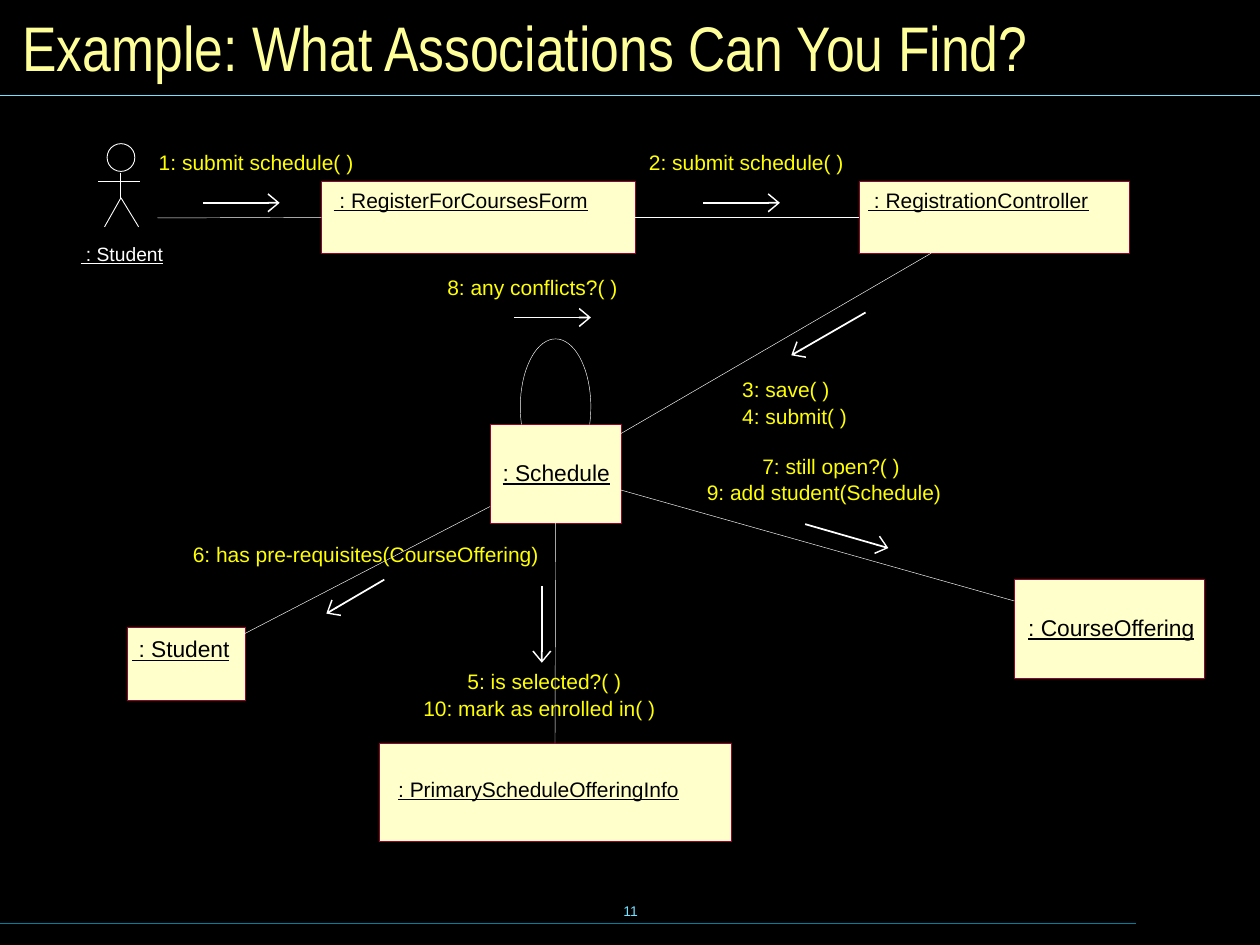
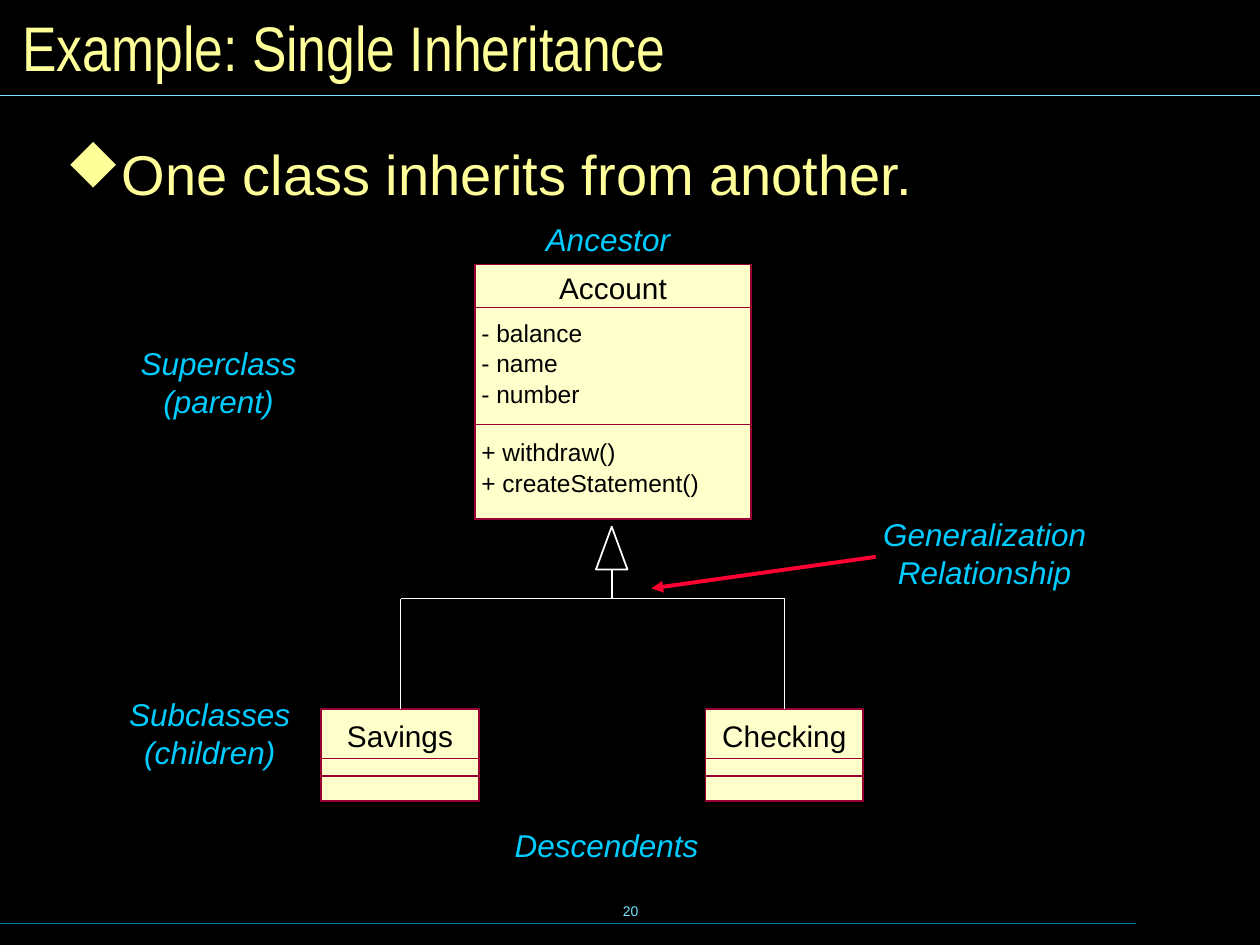
from dataclasses import dataclass
from math import cos, pi, sin

from lxml.etree import SubElement
from pptx import Presentation
from pptx.dml.color import RGBColor
from pptx.enum.shapes import MSO_CONNECTOR, MSO_SHAPE
from pptx.enum.text import MSO_ANCHOR, PP_ALIGN
from pptx.oxml.ns import qn
from pptx.util import Inches, Pt


@dataclass(frozen=True)
class Theme:
    font: str = "Arial"
    title_font: str = "Arial Narrow"
    bullet_font: str = "Wingdings"
    background: str = "000000"
    title: str = "FFFF99"
    rule: str = "73E1FF"
    footer_rule: str = "007E9F"
    box_fill: str = "FFFFCC"
    box_line: str = "990033"
    box_text: str = "000000"
    line: str = "FFFFFF"
    message: str = "FFFF00"
    label: str = "00CCFF"
    pointer: str = "FF0033"
    hairline: float = 0.25
    title_size: int = 36
    body_size: int = 32
    label_size: int = 18
    class_size: int = 17
    member_size: int = 14
    object_size: int = 13
    message_size: int = 12
    actor_size: int = 11
    number_size: int = 8


THEME = Theme()
BODY_MARGINS = (0.12, 0.06, 0.12, 0.06)
TITLE_MARGINS = (0.1, 0.05, 0.1, 0.05)


@dataclass
class Area:
    """A box on a slide; everything drawn in it is measured from its corner."""
    slide: object
    left: float = 0
    top: float = 0

    def inside(self, left, top):
        return Area(self.slide, self.left + left, self.top + top)

    def point(self, x, y):
        return Inches(self.left + x), Inches(self.top + y)

    def shape(self, kind, box, fill=None, line=THEME.line, width=1):
        left, top, wide, high = box
        shape = self.slide.shapes.add_shape(
            kind, *self.point(left, top), Inches(wide), Inches(high))
        return style_shape(shape, fill, line, width)

    def text(self, box, lines, size, color, **options):
        left, top, wide, high = box
        shape = self.slide.shapes.add_textbox(
            *self.point(left, top), Inches(wide), Inches(high))
        return set_text(shape.text_frame, lines, size, color, **options)

    def line(self, start, end, color=THEME.line, width=THEME.hairline,
             head=None, head_width="med"):
        connector = self.slide.shapes.add_connector(
            MSO_CONNECTOR.STRAIGHT, *self.point(*start), *self.point(*end))
        connector.line.color.rgb = RGBColor.from_string(color)
        connector.line.width = Pt(width)
        if head:
            SubElement(connector.line._get_or_add_ln(), qn("a:tailEnd"),
                       type=head, w=head_width)
        SubElement(connector._element.spPr, qn("a:effectLst"))
        return connector


def style_shape(shape, fill, line, width):
    shape.shadow.inherit = False
    if fill:
        shape.fill.solid()
        shape.fill.fore_color.rgb = RGBColor.from_string(fill)
    else:
        shape.fill.background()
    shape.line.color.rgb = RGBColor.from_string(line)
    shape.line.width = Pt(width)
    return shape


def set_text(frame, lines, size, color, font=THEME.font, align=PP_ALIGN.LEFT,
             anchor=MSO_ANCHOR.TOP, margins=(0, 0, 0, 0),
             italic=False, underline=False, gap=0):
    frame.word_wrap = True
    frame.vertical_anchor = anchor
    (frame.margin_left, frame.margin_top,
     frame.margin_right, frame.margin_bottom) = map(Inches, margins)
    for index, line in enumerate(lines):
        paragraph = frame.add_paragraph() if index else frame.paragraphs[0]
        paragraph.text = line
        paragraph.alignment = align
        paragraph.space_after = Pt(gap)
        paragraph.font.name = font
        paragraph.font.size = Pt(size)
        paragraph.font.color.rgb = RGBColor.from_string(color)
        paragraph.font.italic = italic
        paragraph.font.underline = underline
    return frame


def add_framed_slide(presentation, title, number):
    """Blank slide with background, title, rules and page number."""
    slide = presentation.slides.add_slide(presentation.slide_layouts[6])
    slide.background.fill.solid()
    slide.background.fill.fore_color.rgb = RGBColor.from_string(THEME.background)
    page = Area(slide)
    page.text((3.42, 6.98, 3.17, 0.5), [number], THEME.number_size, THEME.rule,
              align=PP_ALIGN.CENTER, anchor=MSO_ANCHOR.MIDDLE, margins=TITLE_MARGINS)
    page.line((0, 7.33), (9.02, 7.33), THEME.footer_rule, 0.75)
    page.line((0, 0.76), (10, 0.76), THEME.rule, 0.75)
    page.text((0.08, 0.08, 9.84, 0.58), [title], THEME.title_size, THEME.title,
              font=THEME.title_font, anchor=MSO_ANCHOR.MIDDLE, margins=TITLE_MARGINS)
    return page


# Collaboration diagram: objects as (box, text offset, size, name)
OBJECTS = {
    "offering": ((8.05, 3.6, 1.51, 0.78), (0.11, 0.27), THEME.object_size, ": CourseOffering"),
    "controller": ((6.82, 0.44, 2.14, 0.57), (0.07, 0.05), THEME.message_size,
                   " : RegistrationController"),
    "schedule": ((3.89, 2.37, 1.04, 0.78), (0.1, 0.27), THEME.object_size, ": Schedule"),
    "student": ((1.01, 3.98, 0.94, 0.58), (0.04, 0.06), THEME.object_size, " : Student"),
    "primary": ((3.01, 4.9, 2.79, 0.78), (0.15, 0.26), THEME.message_size,
                ": PrimaryScheduleOfferingInfo"),
    "form": ((2.55, 0.44, 2.49, 0.57), (0.1, 0.05), THEME.message_size,
             " : RegisterForCoursesForm"),
}
# Links as start, end, and the (object, side) joined at each end
LINKS = [
    ((5.04, 0.73), (6.82, 0.73), ("form", 3), ("controller", 1)),
    ((1.25, 0.73), (2.55, 0.73), None, ("form", 1)),
    ((4.41, 3.15), (4.41, 4.9), ("schedule", 2), ("primary", 0)),
    ((7.39, 1.01), (4.93, 2.44), None, None),
    ((4.93, 2.89), (8.05, 3.77), None, None),
    ((1.94, 4.03), (3.89, 3.02), None, None),
]
# Messages as left, top, width, text; each width leaves room for one line
MESSAGES = [
    (1.26, 0.19, 1.75, "1: submit schedule( )"),
    (5.15, 0.19, 1.75, "2: submit schedule( )"),
    (5.89, 1.99, 0.9, "3: save( )"),
    (5.89, 2.2, 1.07, "4: submit( )"),
    (3.71, 4.31, 1.42, "5: is selected?( )"),
    (1.53, 3.3, 2.95, "6: has pre-requisites(CourseOffering)"),
    (6.05, 2.6, 1.29, "7: still open?( )"),
    (3.55, 1.18, 1.55, "8: any conflicts?( )"),
    (5.61, 2.81, 2.06, "9: add student(Schedule)"),
    (3.36, 4.52, 2.04, "10: mark as enrolled in( )"),
]
ARROWS = [
    ((1.61, 0.61), (2.22, 0.61)), ((5.58, 0.61), (6.19, 0.61)),
    ((4.08, 1.52), (4.69, 1.52)), ((4.3, 3.65), (4.3, 4.26)),
    ((3.05, 3.6), (2.59, 3.87)), ((6.87, 1.48), (6.28, 1.82)),
    ((6.39, 3.16), (7.05, 3.35)),
]


def add_object(area, box, offset, size, name):
    shape = area.shape(MSO_SHAPE.RECTANGLE, box, THEME.box_fill, THEME.box_line,
                       THEME.hairline)
    set_text(shape.text_frame, [name], size, THEME.box_text,
             margins=(*offset, 0, 0), underline=True)
    return shape


def add_actor(area, name):
    """Stick figure with its name below."""
    neck, hip = (0.32, 0.23), (0.32, 0.43)
    area.shape(MSO_SHAPE.OVAL, (0.21, 0, 0.22, 0.22), width=0.5)
    limbs = [(neck, hip), ((0.14, 0.3), (0.47, 0.3)),
             (hip, (0.46, 0.66)), (hip, (0.19, 0.66))]
    for start, end in limbs:
        area.line(start, end, width=0.5)
    area.text((0, 0.78, 0.8, 0.18), [name], THEME.actor_size, THEME.line, underline=True)


def add_self_link(area, radius_x=0.28, radius_y=0.54, overhang=0.26, steps=40):
    """Upper part of an ellipse, open where it meets the object."""
    angles = [pi + overhang - (pi + 2 * overhang) * step / steps
              for step in range(steps + 1)]
    points = [area.point(radius_x * (1 + cos(angle)), radius_y * (1 - sin(angle)))
              for angle in angles]
    builder = area.slide.shapes.build_freeform(*points[0])
    builder.add_line_segments(points[1:], close=False)
    style_shape(builder.convert_to_shape(), None, THEME.line, THEME.hairline)


def add_collaboration(area):
    objects = {key: add_object(area, *entry) for key, entry in OBJECTS.items()}
    add_self_link(area.inside(4.13, 1.69))
    add_actor(area.inside(0.64, 0.14), " : Student")
    for start, end, begin_side, end_side in LINKS:
        link = area.line(start, end)
        if begin_side:
            link.begin_connect(objects[begin_side[0]], begin_side[1])
        if end_side:
            link.end_connect(objects[end_side[0]], end_side[1])
    for left, top, width, message in MESSAGES:
        area.text((left, top, width, 0.2), [message], THEME.message_size, THEME.message)
    for start, end in ARROWS:
        area.line(start, end, width=1, head="arrow", head_width="lg")


# Inheritance slide
LABELS = [
    (0.75, 1.67, 0.72, "Superclass\n(parent)"),
    (0.68, 4.46, 0.72, "Subclasses\n(children)"),
    (6.83, 3.03, 0.72, "Generalization\nRelationship"),
    (3.83, 5.5, 0.42, "Descendents"),
    (3.84, 0.69, 0.42, "Ancestor"),
]


def add_bullet(area, text):
    frame = area.text((0, 0, 9.29, 5.52), [text], THEME.body_size, THEME.title,
                      margins=BODY_MARGINS)
    paragraph = frame.paragraphs[0]
    paragraph.line_spacing = 0.8
    properties = paragraph._p.get_or_add_pPr()
    properties.set("marL", str(Inches(0.37)))
    properties.set("indent", str(Inches(-0.37)))
    # Bullet settings come just before the default run properties; "u" is a diamond
    run_defaults = properties.find(qn("a:defRPr"))
    for tag, settings in (("a:buFont", {"typeface": THEME.bullet_font, "charset": "2"}),
                          ("a:buChar", {"char": "u"})):
        run_defaults.addprevious(properties.makeelement(qn(tag), settings))


def add_class(area, width, height, name, name_top, compartments):
    """Class box; compartments are (offset, text top, members)."""
    shape = area.shape(MSO_SHAPE.RECTANGLE, (0, 0, width, height),
                       THEME.box_fill, THEME.box_line)
    set_text(shape.text_frame, [name], THEME.class_size, THEME.box_text,
             align=PP_ALIGN.CENTER, margins=(0, name_top, 0, 0))
    for offset, text_top, members in compartments:
        compartment = area.shape(MSO_SHAPE.RECTANGLE, (0, offset, width, height - offset),
                                 line=THEME.box_line)
        set_text(compartment.text_frame, members, THEME.member_size, THEME.box_text,
                 margins=(0.05, text_top, 0, 0), gap=0.8)
    return shape


def add_inheritance(area):
    # Parent class and its subclasses
    add_class(area.inside(3.77, 1.1), 2.19, 2.02, "Account", 0.04, [
        (0.34, 0.08, ["- balance", "- name", "- number"]),
        (1.27, 0.1, ["+ withdraw()", "+ createStatement()"]),
    ])
    bus = 3.75
    for left, name in ((2.55, "Savings"), (5.6, "Checking")):
        subclass = add_class(area.inside(left, 4.63), 1.25, 0.73, name, 0.07,
                             [(0.39, 0, []), (0.53, 0, [])])
        middle = left + 1.25 / 2
        area.line((middle, bus), (middle, 4.63)).end_connect(subclass, 0)

    # Generalization arrow and its pointer
    area.line((3.18, bus), (6.23, bus), width=1)
    area.line((4.86, bus), (4.86, 3.52), width=1)
    area.shape(MSO_SHAPE.ISOSCELES_TRIANGLE, (4.73, 3.18, 0.25, 0.34))
    area.line((6.95, 3.42), (5.17, 3.67), THEME.pointer, 2.25, "triangle")

    for left, top, height, label in LABELS:
        area.text((left, top, 1.97, height), [label], THEME.label_size, THEME.label,
                  align=PP_ALIGN.CENTER, margins=BODY_MARGINS, italic=True)


def main():
    presentation = Presentation()
    presentation.slide_width, presentation.slide_height = Inches(10), Inches(7.5)

    page = add_framed_slide(presentation, "Example: What Associations Can You Find?", "11")
    add_collaboration(page.inside(0, 1))

    page = add_framed_slide(presentation, "Example: Single Inheritance", "20")
    add_bullet(page.inside(0.4, 1.15), "One class inherits from another.")
    add_inheritance(page.inside(0, 1))

    presentation.save("out.pptx")


if __name__ == "__main__":
    main()
